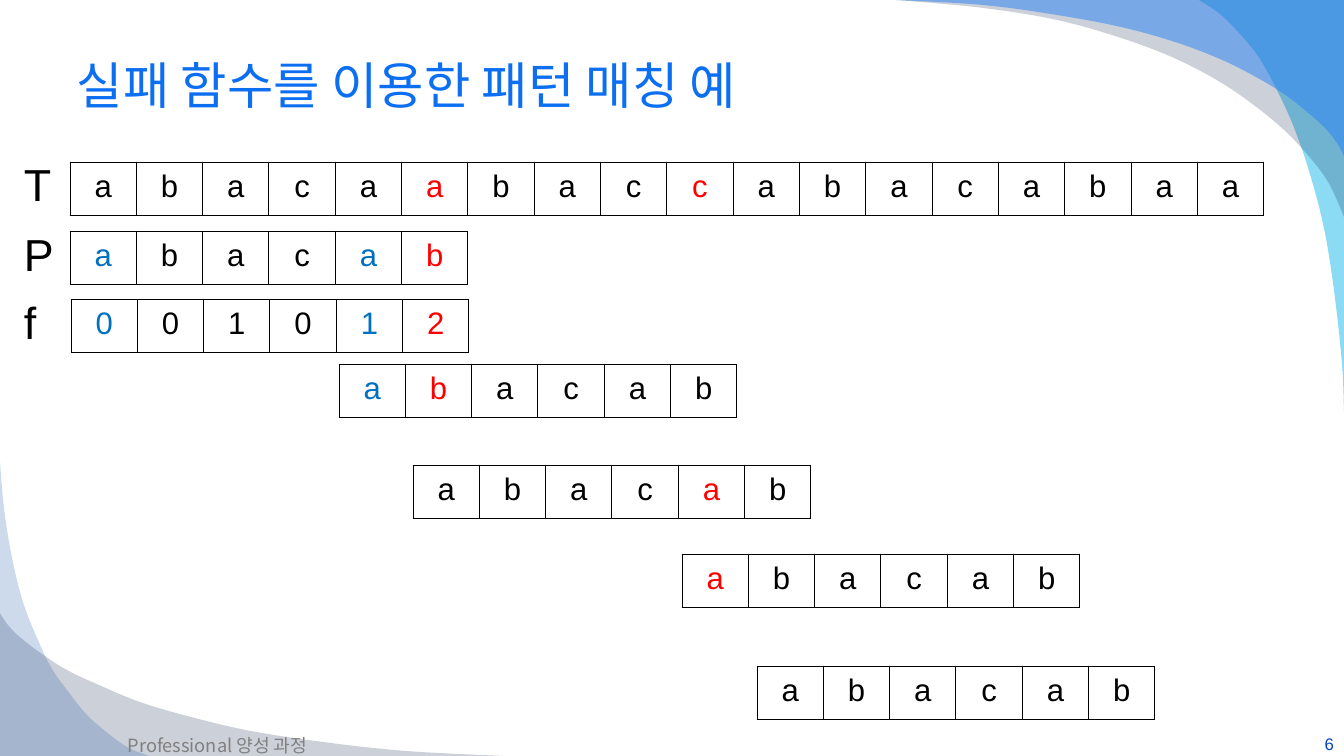
from dataclasses import dataclass

from lxml import etree
from pptx import Presentation
from pptx.dml.color import RGBColor
from pptx.enum.text import MSO_ANCHOR, MSO_AUTO_SIZE, PP_ALIGN
from pptx.oxml.ns import qn
from pptx.slide import Slide
from pptx.text.text import _Paragraph
from pptx.util import Emu, Pt

LEFT, CENTER, RIGHT = PP_ALIGN.LEFT, PP_ALIGN.CENTER, PP_ALIGN.RIGHT
TOP, MIDDLE = MSO_ANCHOR.TOP, MSO_ANCHOR.MIDDLE
FIXED, GROW = MSO_AUTO_SIZE.NONE, MSO_AUTO_SIZE.SHAPE_TO_FIT_TEXT

SLIDE_WIDTH, SLIDE_HEIGHT = 1344, 756
EMU_PER_PIXEL = 12192000 / SLIDE_WIDTH
CELLS_PER_PATTERN, PATTERN_WIDTH, ROW_HEIGHT = 6, 398, 53
CURVE_STEPS = 6


@dataclass(frozen=True)
class Theme:
    title: str = "0C6FF2"
    page_number: str = "0743BC"
    footer: str = "808080"
    ink: str = "000000"
    mismatch: str = "FF0000"
    border_match: str = "0070C0"
    navy: str = "021741"
    cyan: str = "00B1E9"
    sky: str = "247FF4"
    deep_blue: str = "084AA1"
    font: str = "Arial"
    korean_font: str = "Noto Sans CJK KR"
    title_size: float = 36
    label_size: float = 32
    cell_size: float = 22.2
    footer_size: float = 13
    page_size: float = 12
    cell_spacing: float = 1.14
    cell_line: float = 0.75


THEME = Theme()
Point = tuple[float, float]


@dataclass(frozen=True)
class Swoosh:
    corner: Point
    curve: tuple[Point, ...]
    color: str
    opacity: int


@dataclass(frozen=True)
class Label:
    text: str
    left: int
    top: int
    width: int
    height: int
    size: float
    color: str
    align: PP_ALIGN = LEFT
    anchor: MSO_ANCHOR = MIDDLE
    font: str = THEME.font
    wrap: bool = True
    auto_size: MSO_AUTO_SIZE = FIXED


@dataclass(frozen=True)
class LetterRow:
    letters: str
    left: int
    top: int
    red: tuple[int, ...] = ()
    blue: tuple[int, ...] = ()


TOP_RIGHT, BOTTOM_LEFT = (SLIDE_WIDTH, 0), (0, SLIDE_HEIGHT)
SWOOSHES = (
    Swoosh(TOP_RIGHT, ((1199, 0), (1220, 14), (1241, 35), (1260, 59), (1279, 94), (1295, 130),
                       (1310, 174), (1324, 228), (1334, 290), (1342, 363), (1344, 411)),
           THEME.cyan, 45),
    Swoosh(TOP_RIGHT, ((896, 0), (983, 8), (1057, 20), (1121, 38), (1174, 58), (1220, 82),
                       (1255, 106), (1284, 130), (1306, 153), (1325, 177), (1336, 198),
                       (1344, 217)), THEME.navy, 20),
    Swoosh(TOP_RIGHT, ((896, 0), (983, 5), (1057, 15), (1121, 27), (1175, 42), (1220, 59),
                       (1256, 77), (1284, 94), (1306, 111), (1325, 128), (1337, 143),
                       (1344, 156)), THEME.sky, 49),
    Swoosh(BOTTOM_LEFT, ((0, 613), (8, 625), (21, 638), (42, 654), (67, 670), (99, 685),
                         (140, 702), (191, 717), (251, 731), (323, 742), (406, 751),
                         (504, 756)), THEME.navy, 20),
    Swoosh(BOTTOM_LEFT, ((0, 462), (4, 508), (12, 558), (23, 602), (37, 638), (52, 669),
                         (70, 694), (86, 714), (105, 731), (127, 747), (149, 756)),
           THEME.deep_blue, 20),
)
LABELS = (
    Label("6", 1030, 724, 314, 40, THEME.page_size, THEME.page_number, RIGHT),
    Label("실패 함수를 이용한 패턴 매칭 예", 67, 33, 1210, 102, THEME.title_size, THEME.title),
    Label("Professional 양성 과정", 5, 725, 425, 40, THEME.footer_size, THEME.footer, CENTER,
          font=THEME.korean_font),
    *(Label(text, 14, top, width, 65, THEME.label_size, THEME.ink, anchor=TOP,
            wrap=wrap, auto_size=GROW)
      for text, top, width, wrap in (("T", 152, 43, False), ("P", 222, 56, True),
                                     ("f", 290, 49, True))),
)
PATTERN = "abacab"
ROWS = (
    LetterRow("abacaabaccabacabaa", 70, 162, red=(5, 9)),
    LetterRow(PATTERN, 70, 231, red=(5,), blue=(0, 4)),
    LetterRow("001012", 71, 299, red=(5,), blue=(0, 4)),
    LetterRow(PATTERN, 339, 364, red=(1,), blue=(0,)),
    LetterRow(PATTERN, 413, 465, red=(4,)),
    LetterRow(PATTERN, 682, 554, red=(0,)),
    LetterRow(PATTERN, 757, 666),
)


def pixels(value: float) -> Emu:
    return Emu(round(value * EMU_PER_PIXEL))


def assign(target: object, values: dict[str, object]) -> None:
    for name, value in values.items():
        setattr(target, name, value)


def write(paragraph: _Paragraph, text: str, size: float, color: str, align: PP_ALIGN,
          font: str = THEME.font) -> None:
    paragraph.alignment = align
    run = paragraph.add_run()
    run.text = text
    assign(run.font, {"size": Pt(size), "name": font})
    run.font.color.rgb = RGBColor.from_string(color)
    east_asian = etree.Element(qn("a:ea"), typeface=THEME.korean_font)
    run.font._element.find(qn("a:latin")).addnext(east_asian)


def smooth(knots: tuple[Point, ...]) -> list[Point]:
    padded = (knots[0], *knots, knots[-1])
    points = [knots[0]]
    for before, start, end, after in zip(padded, padded[1:], padded[2:], padded[3:]):
        for step in range(1, CURVE_STEPS + 1):
            t = step / CURVE_STEPS
            points.append(tuple(
                (2 * b + (c - a) * t + (2 * a - 5 * b + 4 * c - d) * t**2
                 + (3 * b - a - 3 * c + d) * t**3) / 2
                for a, b, c, d in zip(before, start, end, after)))
    return points


def draw_swoosh(slide: Slide, swoosh: Swoosh) -> None:
    corner, *curve = [(pixels(x), pixels(y)) for x, y in (swoosh.corner, *smooth(swoosh.curve))]
    builder = slide.shapes.build_freeform(*corner)
    builder.add_line_segments(curve, close=True)
    shape = builder.convert_to_shape()
    shape.shadow.inherit = False
    shape.line.fill.background()
    shape.fill.solid()
    shape.fill.fore_color.rgb = RGBColor.from_string(swoosh.color)
    color = shape._element.spPr.find(f"{qn('a:solidFill')}/{qn('a:srgbClr')}")
    etree.SubElement(color, qn("a:alpha"), val=str(swoosh.opacity * 1000))


def draw_label(slide: Slide, label: Label) -> None:
    box = slide.shapes.add_textbox(*map(pixels, (label.left, label.top, label.width, label.height)))
    assign(box.text_frame, {"word_wrap": label.wrap, "vertical_anchor": label.anchor,
                            "auto_size": label.auto_size})
    write(box.text_frame.paragraphs[0], label.text, label.size, label.color, label.align, label.font)


def draw_row(slide: Slide, row: LetterRow) -> None:
    count = len(row.letters)
    width = PATTERN_WIDTH / CELLS_PER_PATTERN
    table = slide.shapes.add_table(1, count, pixels(row.left), pixels(row.top),
                                   pixels(width * count), pixels(ROW_HEIGHT)).table
    assign(table, {"first_row": False, "horz_banding": False})
    for index, letter in enumerate(row.letters):
        table.columns[index].width = pixels(width)
        cell = table.cell(0, index)
        assign(cell, {"margin_left": pixels(4), "margin_right": pixels(4),
                      "margin_top": pixels(3), "margin_bottom": pixels(3),
                      "vertical_anchor": TOP})
        for side in ("lnL", "lnR", "lnT", "lnB"):
            line = etree.SubElement(cell._tc.get_or_add_tcPr(), qn(f"a:{side}"),
                                    w=str(Pt(THEME.cell_line)))
            fill = etree.SubElement(line, qn("a:solidFill"))
            etree.SubElement(fill, qn("a:srgbClr"), val=THEME.ink)
        cell.fill.background()
        color = (THEME.mismatch if index in row.red
                 else THEME.border_match if index in row.blue else THEME.ink)
        paragraph = cell.text_frame.paragraphs[0]
        paragraph.line_spacing = THEME.cell_spacing
        write(paragraph, letter, THEME.cell_size, color, CENTER)


presentation = Presentation()
assign(presentation, {"slide_width": pixels(SLIDE_WIDTH), "slide_height": pixels(SLIDE_HEIGHT)})
main_slide = presentation.slides.add_slide(presentation.slide_layouts[6])
for draw, items in ((draw_swoosh, SWOOSHES), (draw_label, LABELS), (draw_row, ROWS)):
    for item in items:
        draw(main_slide, item)
presentation.save("out.pptx")
